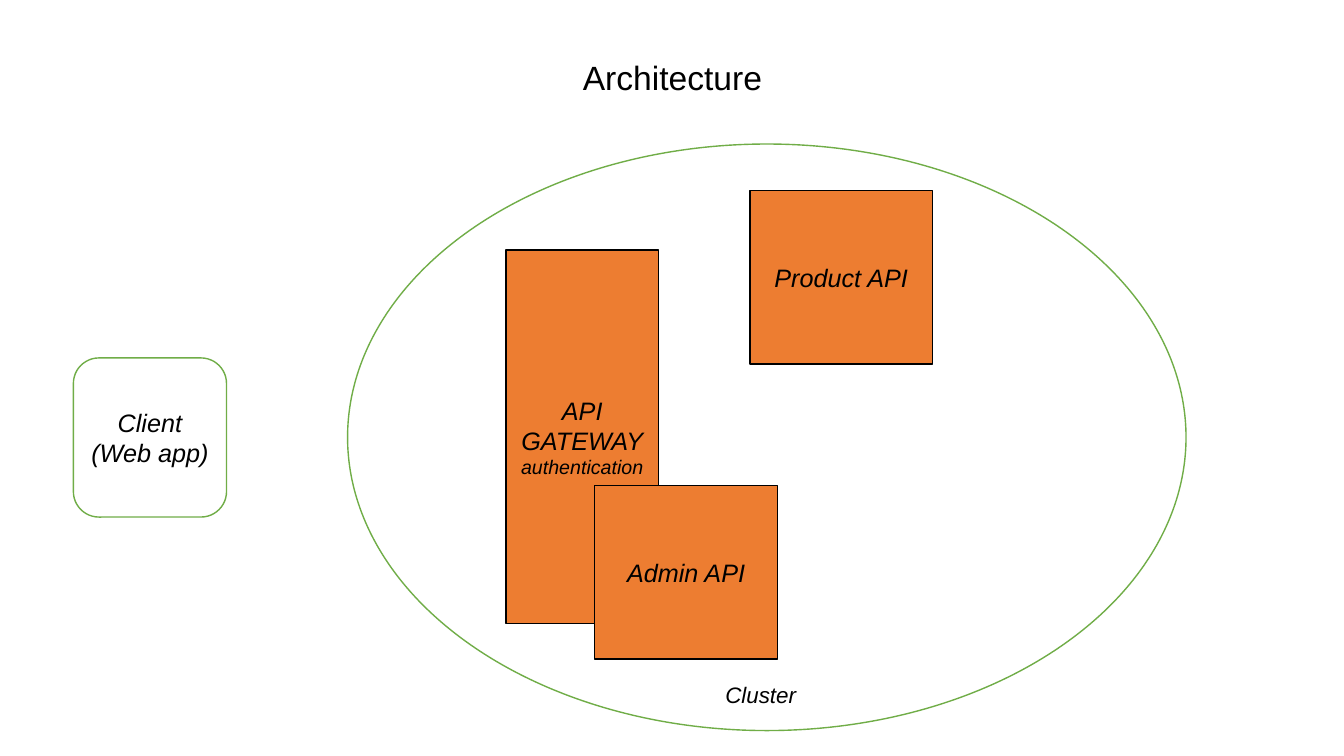
from dataclasses import dataclass

from pptx import Presentation
from pptx.dml.color import RGBColor
from pptx.enum.shapes import MSO_SHAPE
from pptx.enum.text import MSO_ANCHOR, MSO_AUTO_SIZE, PP_ALIGN
from pptx.util import Cm, Pt

RECT, ROUNDED, OVAL = MSO_SHAPE.RECTANGLE, MSO_SHAPE.ROUNDED_RECTANGLE, MSO_SHAPE.OVAL
LEFT, CENTER = PP_ALIGN.LEFT, PP_ALIGN.CENTER
MIDDLE = MSO_ANCHOR.MIDDLE
GROW = MSO_AUTO_SIZE.SHAPE_TO_FIT_TEXT


@dataclass(frozen=True)
class Theme:
    font: str = "Arial"
    ink: RGBColor = RGBColor(0x00, 0x00, 0x00)
    paper: RGBColor = RGBColor(0xFF, 0xFF, 0xFF)
    green: RGBColor = RGBColor(0x70, 0xAD, 0x47)
    orange: RGBColor = RGBColor(0xED, 0x7D, 0x31)
    title: int = 24
    body: int = 18
    label: int = 16
    note: int = 14
    line: int = 1


class Diagram:
    def __init__(self, slide, theme):
        self.slide = slide
        self.theme = theme

    def add_lines(self, tf, lines, align, italic=True):
        """Fill a text frame with (text, size) lines in one paragraph."""
        tf.word_wrap = True
        p = tf.paragraphs[0]
        p.alignment = align
        for i, (text, size) in enumerate(lines):
            if i:
                p.add_line_break()
            r = p.add_run()
            r.text = text
            r.font.name = self.theme.font
            r.font.size = Pt(size)
            r.font.italic = italic
            r.font.color.rgb = self.theme.ink

    def text(self, box, text, size, align=LEFT, italic=True):
        sp = self.slide.shapes.add_textbox(*map(Cm, box))
        self.add_lines(sp.text_frame, [(text, size)], align, italic)
        sp.text_frame.auto_size = GROW

    def shape(self, kind, box, fill, line, lines=()):
        sp = self.slide.shapes.add_shape(kind, *map(Cm, box))
        sp.shadow.inherit = False
        sp.fill.solid()
        sp.fill.fore_color.rgb = fill
        sp.line.color.rgb = line
        sp.line.width = Pt(self.theme.line)
        sp.text_frame.vertical_anchor = MIDDLE
        self.add_lines(sp.text_frame, lines, CENTER)

    def outline(self, kind, box, lines=()):
        self.shape(kind, box, self.theme.paper, self.theme.green, lines)

    def service(self, box, lines):
        self.shape(RECT, box, self.theme.orange, self.theme.ink, lines)


def main():
    prs = Presentation()
    prs.slide_width, prs.slide_height = Cm(33.87), Cm(19.05)
    t = Theme()
    s = Diagram(prs.slides.add_slide(prs.slide_layouts[6]), t)

    # Title
    s.text((6.05, 1.3, 21.79, 1.27), "Architecture", t.title, CENTER, italic=False)

    # Cluster boundary and its label
    s.outline(OVAL, (8.76, 3.63, 21.13, 14.78))
    s.text((18.03, 17.04, 2.64, 0.94), "Cluster", t.label)

    # Gateway
    s.service((12.75, 6.3, 3.85, 9.42),
              [("API", t.body), ("GATEWAY", t.body), ("authentication", t.note)])

    # APIs of equal size
    for name, left, top in (("Product API", 18.9, 4.8), ("Admin API", 14.99, 12.24)):
        s.service((left, top, 4.6, 4.37), [(name, t.body)])

    # Client outside the cluster
    s.outline(ROUNDED, (1.85, 9.02, 3.86, 4.01), [("Client (Web app)", t.body)])

    prs.save("out.pptx")


if __name__ == "__main__":
    main()
